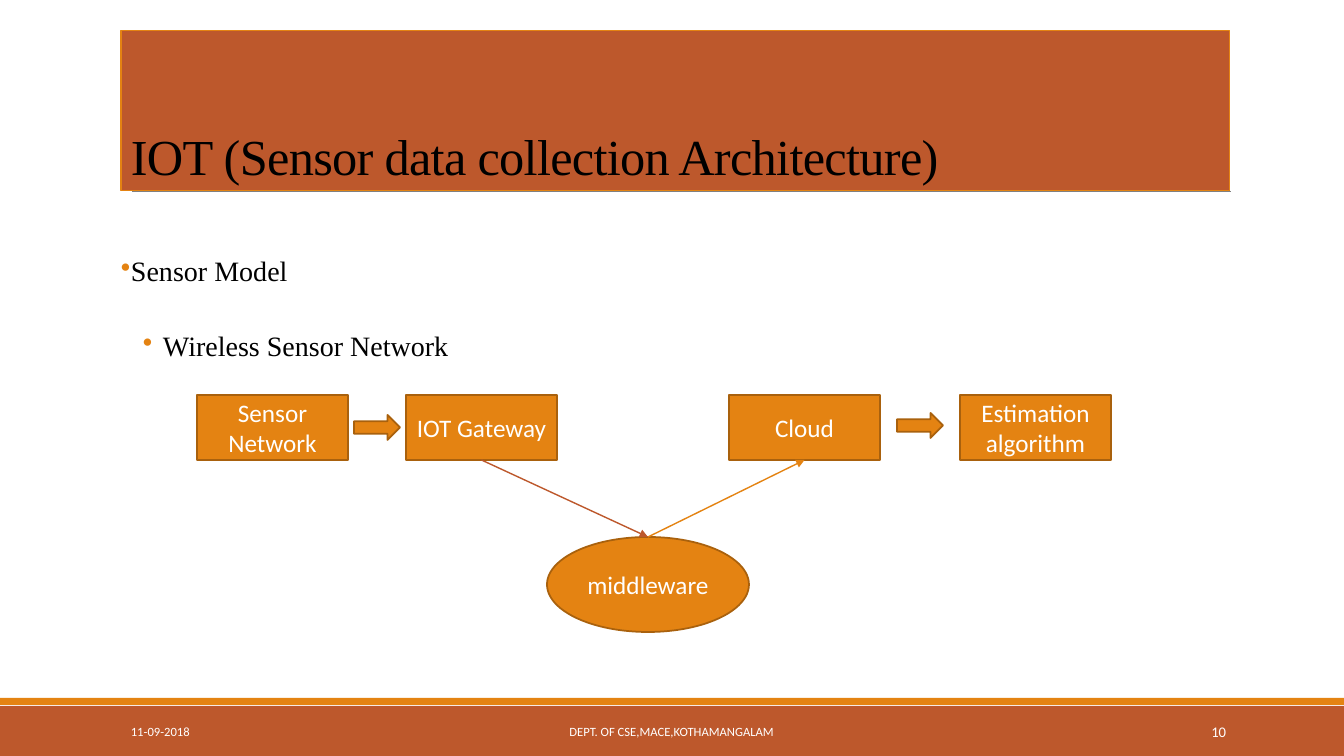
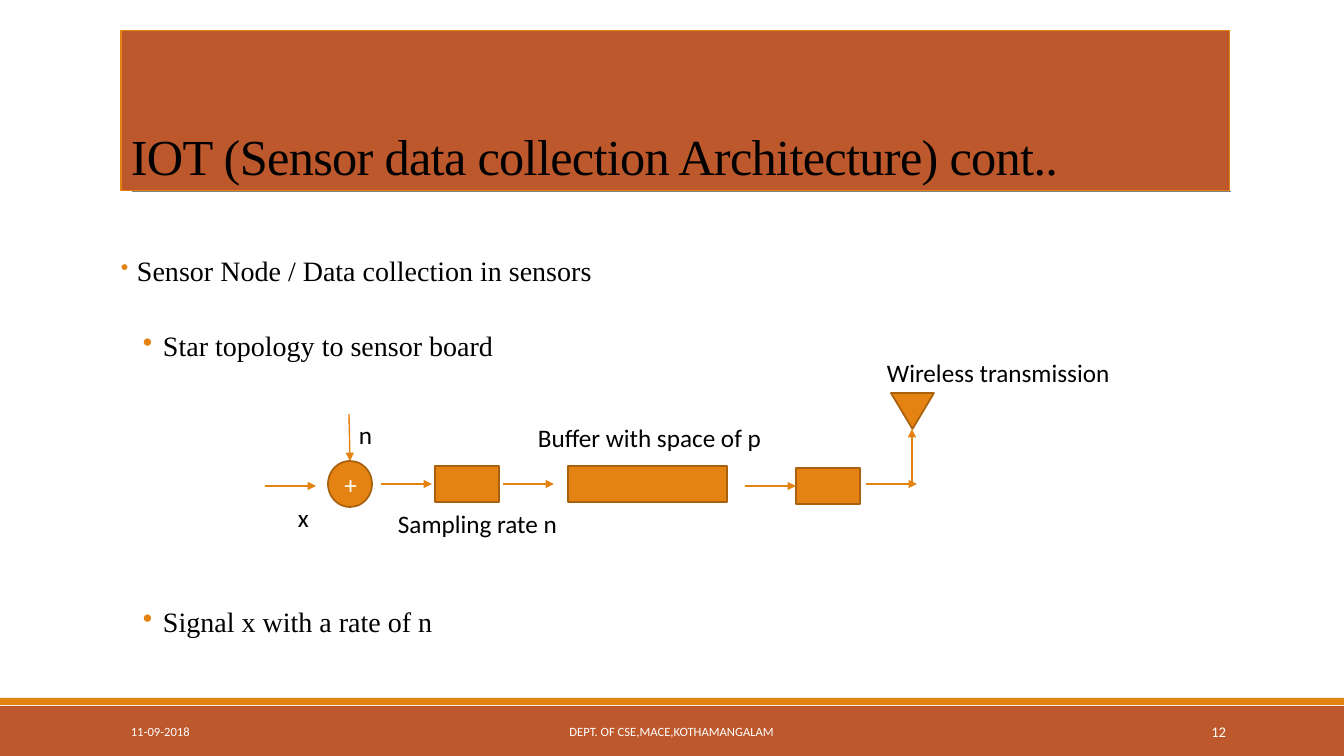
from dataclasses import dataclass

from lxml.etree import SubElement
from pptx import Presentation
from pptx.dml.color import RGBColor
from pptx.enum.shapes import MSO_CONNECTOR, MSO_SHAPE
from pptx.enum.text import MSO_ANCHOR, PP_ALIGN
from pptx.oxml.ns import qn
from pptx.util import Emu, Pt


@dataclass(frozen=True)
class Theme:
    rust: str = "BD582C"
    orange: str = "E48312"
    edge: str = "A9610D"
    grey: str = "808080"
    black: str = "000000"
    white: str = "FFFFFF"
    serif: str = "Times New Roman"
    sans: str = "Calibri"
    title: float = 36
    body: float = 20
    label: float = 18
    footer: float = 9
    number: float = 10.5


T = Theme()
PX = 914400 / 100.8


def add_box(s, at, text="", shape=None, fill=T.orange, line=T.edge, width=1.25,
            size=T.label, font=T.sans, color=T.white,
            align=PP_ALIGN.CENTER, anchor=MSO_ANCHOR.MIDDLE):
    """Add a preset shape, or a text box if no shape is given."""
    at = [Emu(round(v * PX)) for v in at]
    if shape is None:
        sp = s.shapes.add_textbox(*at)
    else:
        sp = s.shapes.add_shape(shape, *at)
        sp.shadow.inherit = False
        sp.fill.solid()
        sp.fill.fore_color.rgb = RGBColor.from_string(fill)
        if line:
            sp.line.color.rgb = RGBColor.from_string(line)
            sp.line.width = Pt(width)
        else:
            sp.line.fill.background()
    tf = sp.text_frame
    tf.word_wrap = True
    tf.vertical_anchor = anchor
    if text:
        p = tf.paragraphs[0]
        p.alignment = align
        r = p.add_run()
        r.text = text
        r.font.size = Pt(size)
        r.font.name = font
        r.font.color.rgb = RGBColor.from_string(color)
    return sp


def add_line(s, ends, color=T.orange, width=1, arrow=True):
    c = s.shapes.add_connector(MSO_CONNECTOR.STRAIGHT, *[Emu(round(v * PX)) for v in ends])
    c.line.color.rgb = RGBColor.from_string(color)
    c.line.width = Pt(width)
    if arrow:
        SubElement(c.line._get_or_add_ln(), qn("a:tailEnd"), type="triangle")
    SubElement(c._element.spPr, qn("a:effectLst"))
    return c


prs = Presentation()
prs.slide_width = Emu(round(1344 * PX))
prs.slide_height = Emu(round(756 * PX))

# Each bullet: text, left margin, hanging indent, space before in points, bullet size in %
pages = [
    ("IOT (Sensor data collection Architecture)", "10", [
        ("Sensor Model", 10, 10, 0, 100),
        ("Wireless Sensor Network", 42, 20, 32, 100),
    ]),
    ("IOT (Sensor data collection Architecture) cont..", "12", [
        ("Sensor Node / Data collection in sensors", 16, 16, 0, 80),
        ("Star topology to sensor board", 42, 20, 32, 100),
        ("Signal x with a rate of n", 42, 20, 176, 100),
    ]),
]

# Bands, title, bullets and footer
for title, number, bullets in pages:
    s = prs.slides.add_slide(prs.slide_layouts[6])
    add_box(s, (0, 706, 1344, 50), shape=MSO_SHAPE.RECTANGLE, fill=T.rust, line=None)
    add_box(s, (0, 698, 1344, 7), shape=MSO_SHAPE.RECTANGLE, line=None)
    add_line(s, (132, 191, 1231, 191), T.grey, 0.5, arrow=False)

    sp = add_box(s, (121, 31, 1109, 160), title, MSO_SHAPE.RECTANGLE, T.rust, T.orange, 0.75,
                 T.title, T.serif, T.black, PP_ALIGN.LEFT, MSO_ANCHOR.BOTTOM)
    p = sp.text_frame.paragraphs[0]
    p.line_spacing = 0.85
    p.runs[0].font._element.set("spc", "-50")

    tf = add_box(s, (121, 252, 1109, 395), anchor=MSO_ANCHOR.TOP).text_frame
    tf.margin_left = tf.margin_right = 0
    for i, (text, margin, hang, before, percent) in enumerate(bullets):
        p = tf.add_paragraph() if i else tf.paragraphs[0]
        p.line_spacing = 0.9
        p.space_before = Pt(before)
        pPr = p._p.get_or_add_pPr()
        pPr.set("marL", str(round(margin * PX)))
        pPr.set("indent", str(round(-hang * PX)))
        SubElement(SubElement(pPr, qn("a:buClr")), qn("a:srgbClr"), val=T.orange)
        SubElement(pPr, qn("a:buSzPct"), val=str(percent * 1000))
        SubElement(pPr, qn("a:buChar"), char="•")
        r = p.add_run()
        r.text = text
        r.font.size = Pt(T.body)
        r.font.name = T.serif
        r.font.color.rgb = RGBColor.from_string(T.black)

    for x, w, text, size, align in [
        (121, 272, "11-09-2018", T.footer, PP_ALIGN.LEFT),
        (406, 531, "DEPT. OF CSE,MACE,KOTHAMANGALAM", T.footer, PP_ALIGN.CENTER),
        (1092, 144, number, T.number, PP_ALIGN.RIGHT),
    ]:
        add_box(s, (x, 712, w, 40), text, size=size, align=align)

network, node = prs.slides

# Sensor network: stations joined through the middleware
stations = {}
for x, text in [(197, "Sensor Network"), (406, "IOT Gateway"),
                (729, "Cloud"), (960, "Estimation algorithm")]:
    stations[text] = add_box(network, (x, 395, 151, 65), text, MSO_SHAPE.RECTANGLE)
for x, y in [(354, 415), (897, 413)]:
    add_box(network, (x, y, 46, 25), shape=MSO_SHAPE.RIGHT_ARROW)
middleware = add_box(network, (547, 537, 202, 95), "middleware", MSO_SHAPE.OVAL)
c = add_line(network, (482, 460, 648, 537), T.rust)
c.begin_connect(stations["IOT Gateway"], 2)
c.end_connect(middleware, 0)
c = add_line(network, (648, 537, 804, 460))
c.begin_connect(middleware, 0)
c.end_connect(stations["Cloud"], 2)

# Sensor node: signal chain from adder to antenna
adder = add_box(node, (328, 461, 44, 46), "+", MSO_SHAPE.OVAL)
sampler, buffer, sender = [
    add_box(node, (x, y, w, 36), shape=MSO_SHAPE.RECTANGLE)
    for x, y, w in [(435, 466, 64), (568, 466, 159), (796, 468, 64)]
]
antenna = add_box(node, (891, 393, 43, 36), shape=MSO_SHAPE.ISOSCELES_TRIANGLE)
antenna.rotation = 180
for x, y, w, text in [
    (349, 414, 36, "n"),
    (288, 497, 36, "x"),
    (877, 352, 260, "Wireless transmission"),
    (528, 417, 268, "Buffer with space of p"),
    (388, 503, 196, "Sampling rate n"),
]:
    add_box(node, (x, y, w, 40), text, color=T.black,
            align=PP_ALIGN.LEFT, anchor=MSO_ANCHOR.TOP)
for x, y in [(265, 486), (381, 484), (503, 484), (866, 484)]:
    add_line(node, (x, y, x + 51, y))
add_line(node, (349, 414, 350, 461)).end_connect(adder, 0)
add_line(node, (745, 486, 796, 486)).end_connect(sender, 1)
add_line(node, (912, 486, 912, 429))

prs.save("out.pptx")
